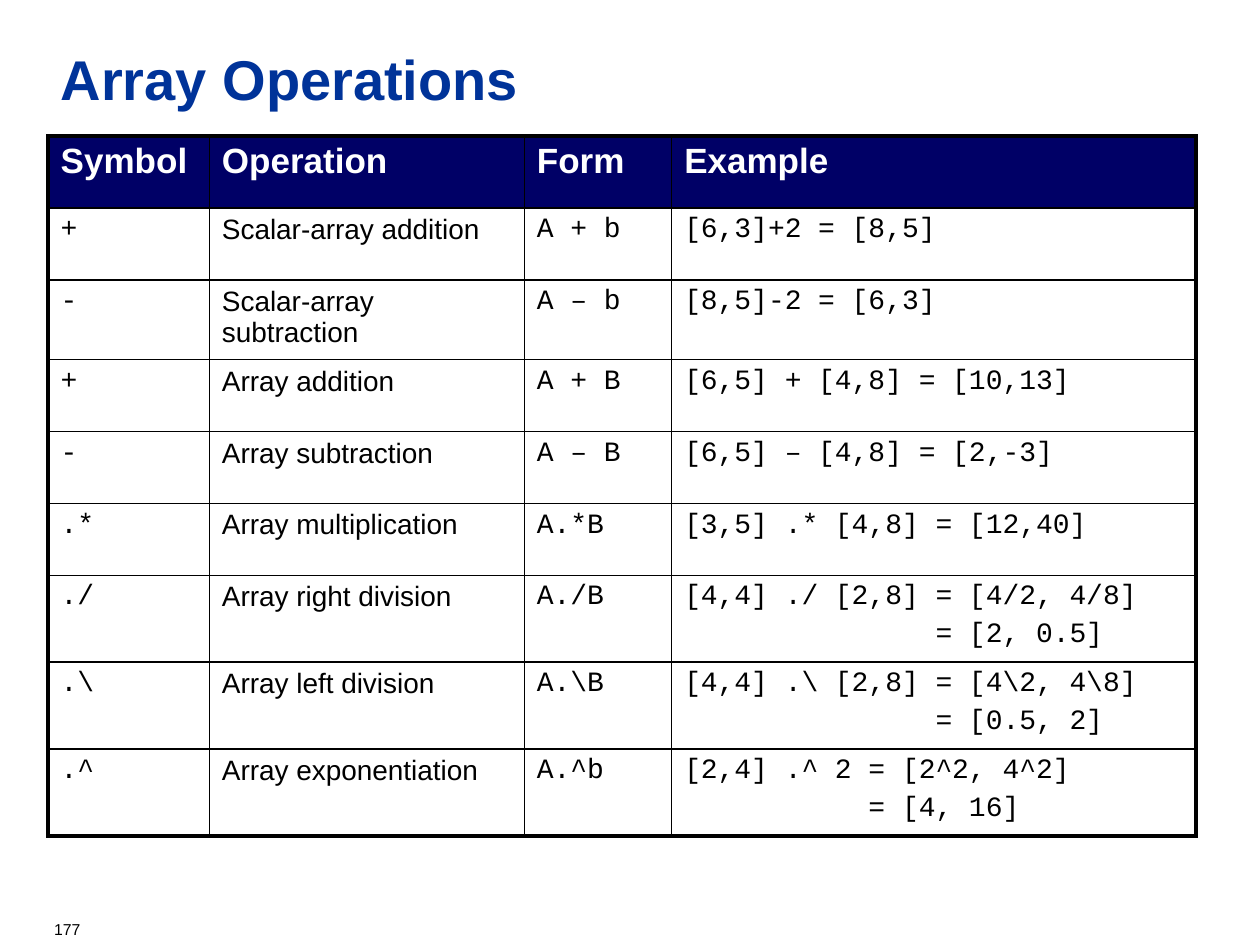
from lxml import etree
from pptx import Presentation
from pptx.dml.color import RGBColor
from pptx.enum import text
from pptx.oxml import ns
from pptx.util import Cm, Pt

BLACK = RGBColor(0x00, 0x00, 0x00)
WHITE = RGBColor(0xFF, 0xFF, 0xFF)
NAVY = RGBColor(0x00, 0x00, 0x66)
TITLE_BLUE = RGBColor(0x00, 0x33, 0x99)

SANS, MONO = "Arial", "Courier New"
COLUMN_FONTS = [MONO, SANS, MONO, MONO]
COLUMN_WIDTHS = [3.25, 6.35, 2.97, 10.57]
ROW_HEIGHTS = [1.45, 1.45, 1.6] + [1.45] * 3 + [1.75] * 3
INNER_LINE, OUTER_LINE = 1, 2.25

OPERATIONS = [
    ("Symbol", "Operation", "Form", "Example"),
    ("+", "Scalar-array addition", "A + b", "[6,3]+2 = [8,5]"),
    ("-", "Scalar-array subtraction", "A – b", "[8,5]-2 = [6,3]"),
    ("+", "Array addition", "A + B", "[6,5] + [4,8] = [10,13]"),
    ("-", "Array subtraction", "A – B", "[6,5] – [4,8] = [2,-3]"),
    (".*", "Array multiplication", "A.*B", "[3,5] .* [4,8] = [12,40]"),
    ("./", "Array right division", "A./B",
     "[4,4] ./ [2,8] = [4/2, 4/8]\n               = [2, 0.5]"),
    (".\\", "Array left division", "A.\\B",
     "[4,4] .\\ [2,8] = [4\\2, 4\\8]\n               = [0.5, 2]"),
    (".^", "Array exponentiation", "A.^b",
     "[2,4] .^ 2 = [2^2, 4^2]\n           = [4, 16]"),
]


def add_run(paragraph, words, font, size, color, bold=False):
    run = paragraph.add_run()
    run.text = words
    run.font.name = font
    run.font.size = Pt(size)
    run.font.color.rgb = color
    run.font.bold = bold
    return run


def add_text_shadow(run):
    """Soft shadow below and to the right of the letters."""
    effects = etree.Element(ns.qn("a:effectLst"))
    shadow = etree.SubElement(effects, ns.qn("a:outerShdw"), blurRad="38100",
                              dist="38100", dir="2700000", algn="tl")
    color = etree.SubElement(shadow, ns.qn("a:srgbClr"), val="C0C0C0")
    etree.SubElement(color, ns.qn("a:alpha"), val="50000")
    run.font.fill._xPr.find(ns.qn("a:solidFill")).addnext(effects)


def set_title(slide, words):
    title = slide.shapes.title
    title.left, title.top = Cm(0.97), Cm(0.76)
    title.width, title.height = Cm(23.14), Cm(2.54)
    frame = title.text_frame
    frame.auto_size = text.MSO_AUTO_SIZE.NONE
    frame.vertical_anchor = text.MSO_ANCHOR.TOP
    paragraph = frame.paragraphs[0]
    paragraph.alignment = text.PP_ALIGN.LEFT
    add_text_shadow(add_run(paragraph, words, SANS, 32, TITLE_BLUE, True))


def set_borders(cell, widths):
    """Draw the left, right, top and bottom lines, ahead of the cell's fill."""
    properties = cell._tc.get_or_add_tcPr()
    for place, (side, width) in enumerate(zip("LRTB", widths)):
        line = etree.Element(ns.qn(f"a:ln{side}"), w=str(Pt(width)))
        fill = etree.SubElement(line, ns.qn("a:solidFill"))
        etree.SubElement(fill, ns.qn("a:srgbClr"), val=str(BLACK))
        properties.insert(place, line)


def fill_cell(cell, words, font, is_header):
    cell.fill.solid()
    cell.fill.fore_color.rgb = NAVY if is_header else WHITE
    for number, line in enumerate(words.split("\n")):
        frame = cell.text_frame
        paragraph = frame.add_paragraph() if number else frame.paragraphs[0]
        if number:
            paragraph.space_before = Pt(3.6)
        if is_header:
            add_run(paragraph, line, SANS, 20, WHITE, True)
        else:
            add_run(paragraph, line, font, 16, BLACK)


def add_operations_table(slide):
    last_row, last_column = len(OPERATIONS) - 1, len(COLUMN_WIDTHS) - 1
    table = slide.shapes.add_table(
        last_row + 1, last_column + 1, Cm(0.97), Cm(2.74),
        Cm(sum(COLUMN_WIDTHS)), Cm(sum(ROW_HEIGHTS))).table
    table.first_row = table.horz_banding = False
    for column, width in zip(table.columns, COLUMN_WIDTHS):
        column.width = Cm(width)
    for row, height in zip(table.rows, ROW_HEIGHTS):
        row.height = Cm(height)

    for r, operation in enumerate(OPERATIONS):
        for c, words in enumerate(operation):
            cell = table.cell(r, c)
            fill_cell(cell, words, COLUMN_FONTS[c], r == 0)
            on_edge = (c == 0, c == last_column, r == 0, r == last_row)
            set_borders(cell, [OUTER_LINE if edge else INNER_LINE
                               for edge in on_edge])


def add_page_number(slide, number):
    box = slide.shapes.add_textbox(Cm(0.84), Cm(18.42), Cm(1.9), Cm(0.64))
    box.text_frame.word_wrap = True
    add_run(box.text_frame.paragraphs[0], number, SANS, 9, BLACK)


def main():
    deck = Presentation()
    deck.slide_width, deck.slide_height = Cm(25.4), Cm(19.05)
    slide = deck.slides.add_slide(deck.slide_layouts[5])  # title only
    add_page_number(slide, "177")
    set_title(slide, "Array Operations")
    add_operations_table(slide)
    deck.save("out.pptx")


if __name__ == "__main__":
    main()
